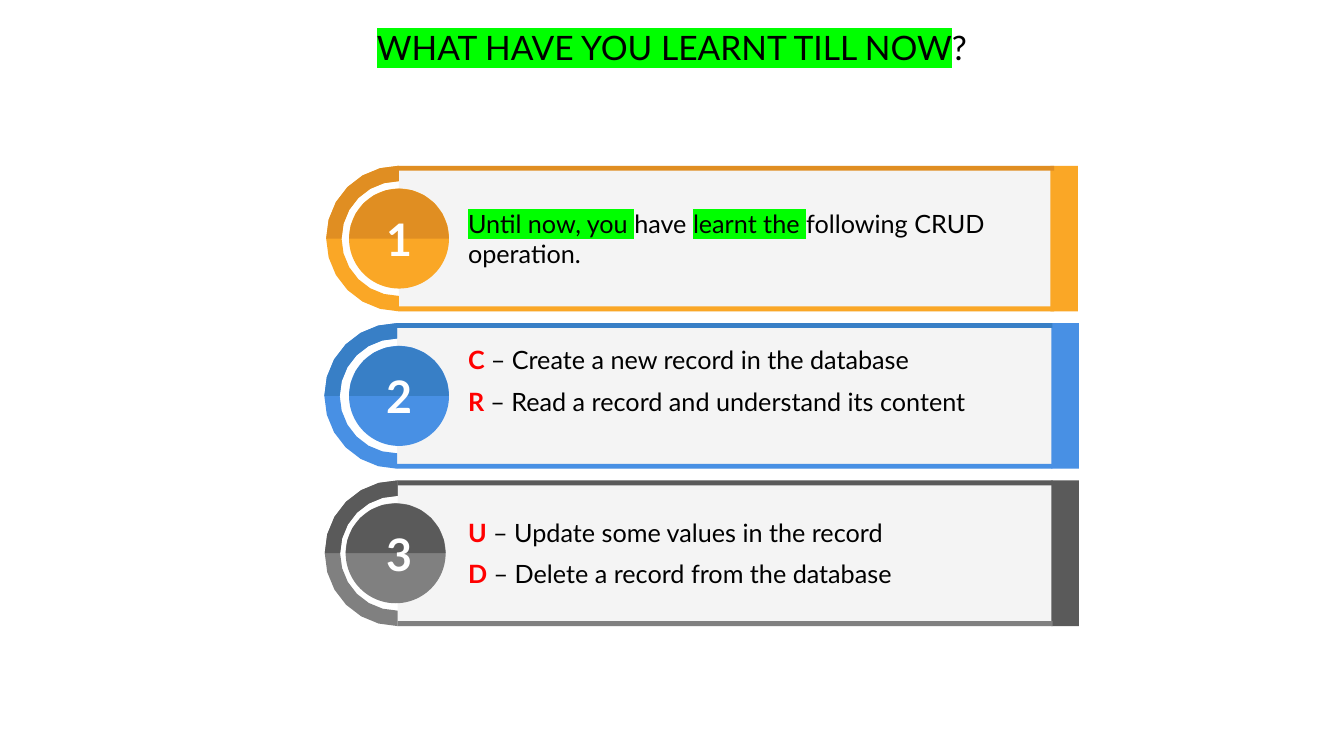
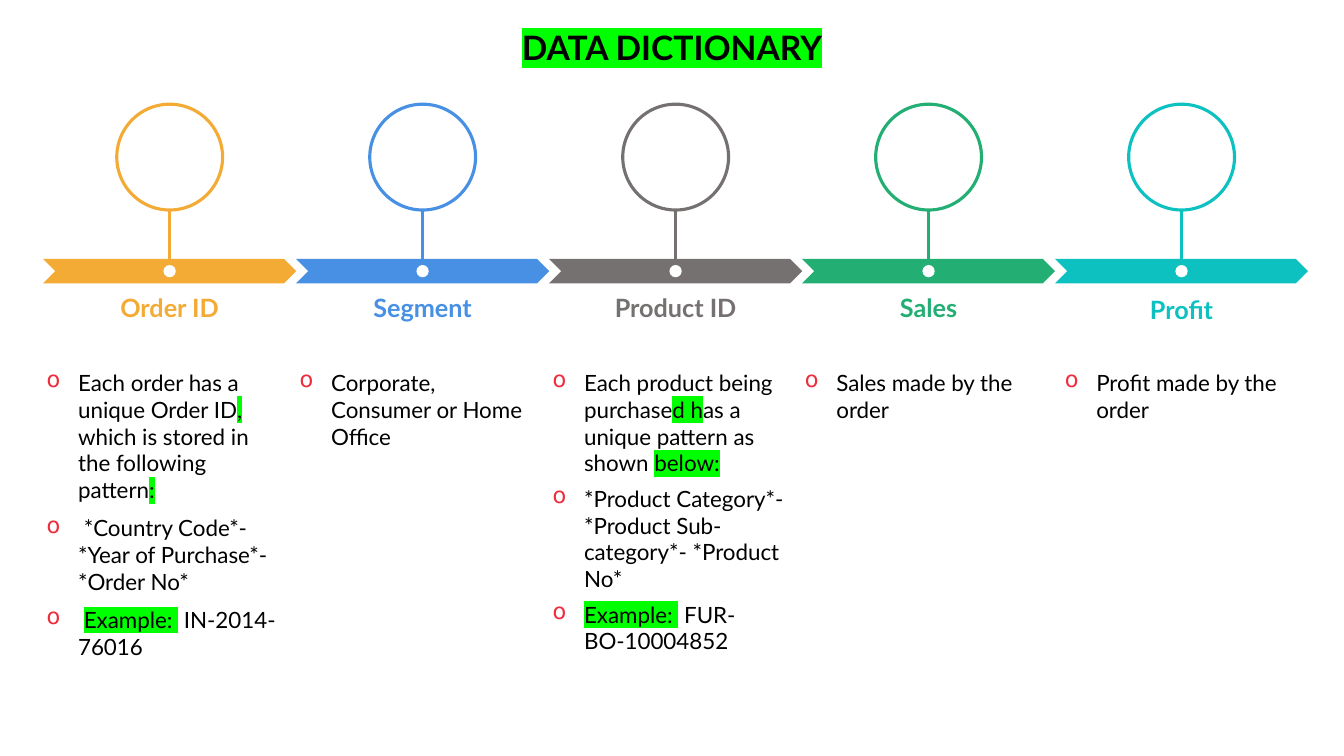
import math

from lxml import etree
from pptx import Presentation
from pptx.dml.color import RGBColor
from pptx.enum import shapes, text
from pptx.oxml import ns
from pptx.util import Pt

FONT = "Lato"
BLACK, WHITE, RED = "000000", "FFFFFF", "FF0000"
PANEL, MARKER, BULLET = "F4F4F4", "00FF00", "EE2C3C"
PLAIN, MARKED, LETTER = "plain", "marked", "letter"
SHAPE = shapes.MSO_SHAPE
TOP, MIDDLE = text.MSO_ANCHOR.TOP, text.MSO_ANCHOR.MIDDLE
LEFT, CENTER = text.PP_ALIGN.LEFT, text.PP_ALIGN.CENTER

# Panel: edge x, disc x, end x, base colour, dark colour, end colour,
# text top, text height, paragraphs
PANELS = [
    (285, 285, 750.3, "FAA726", "E08E22", "FAA726", 144.9, 51.1, [
        [("Until now, you ", MARKED), ("have ", PLAIN), ("learnt the ", MARKED),
         ("following CRUD operation.", PLAIN)]]),
    (283.7, 285, 751, "4890E4", "387FC6", "4890E4", 242.2, 59, [
        [("C ", LETTER), ("– Create a new record in the database", PLAIN)],
        [("R ", LETTER), ("– Read a record and understand its content", PLAIN)]]),
    (284, 282.6, 751, "808080", "5A5A5A", "5A5A5A", 365.6, 59, [
        [("U", LETTER), (" – Update some values in the record", PLAIN)],
        [("D", LETTER), (" – Delete a record from the database", PLAIN)]]),
]

# Field: label, label top, colour, distance from centre to notes, space between notes, notes
FIELDS = [
    ("Order ID", 205.6, "F4AB35", 95, 8, [
        [("Each order has a unique Order ID", PLAIN), (",", MARKED),
         (" which is stored in the following pattern", PLAIN), (":", MARKED)],
        [(" *Country Code*- *Year of Purchase*- *Order No*", PLAIN)],
        [(" ", PLAIN), ("Example: ", MARKED), (" IN-2014-76016", PLAIN)]]),
    ("Segment", 205.6, "4890E4", 95, 0, [
        [("Corporate, Consumer or Home Office", PLAIN)]]),
    ("Product ID", 205.6, "767171", 95, 6, [
        [("Each product being purchase", PLAIN), ("d h", MARKED),
         ("as a unique pattern as shown ", PLAIN), ("below:", MARKED)],
        [("*Product Category*- *Product Sub-category*- *Product No*", PLAIN)],
        [("Example: ", MARKED), (" FUR-BO-10004852", PLAIN)]]),
    ("Sales", 205.6, "23AE73", 95.5, 0, [[("Sales made by the order", PLAIN)]]),
    ("Profit", 206.6, "0EC1C1", 90.5, 0, [[("Profit made by the order", PLAIN)]]),
]


def rgb(value):
    """Turn a hex string into a colour."""
    return RGBColor.from_string(value)


def style_run(r, size, color=BLACK, bold=False, marked=False):
    """Format a run, with a marker highlight if wanted."""
    f = r.font
    f.size, f.bold = Pt(size), bold
    f.color.rgb = rgb(color)
    f.name = FONT
    if marked:
        highlight = etree.Element(ns.qn("a:highlight"))
        etree.SubElement(highlight, ns.qn("a:srgbClr"), val=MARKER)
        r._r.rPr.find(ns.qn("a:solidFill")).addnext(highlight)


def fill_paragraph(p, runs, size, color=BLACK, bold=False):
    """Add styled runs to a paragraph."""
    for words, kind in runs:
        r = p.add_run()
        r.text = words
        letter = kind == LETTER
        style_run(r, size, RED if letter else color, bold or letter, kind == MARKED)


def add_bullet(p):
    """Give a paragraph a coloured bullet and a hanging indent."""
    pPr = p._p.get_or_add_pPr()
    pPr.set("marL", str(Pt(22.5)))
    pPr.set("indent", str(-Pt(22.5)))
    color = etree.SubElement(pPr, ns.qn("a:buClr"))
    etree.SubElement(color, ns.qn("a:srgbClr"), val=BULLET)
    etree.SubElement(pPr, ns.qn("a:buChar"), char="o")


def add_text(s, x, y, w, h, paragraphs, size, color=BLACK, bold=False,
             align=LEFT, anchor=TOP, gap=0, bullets=False, inset=True):
    """Add a text box of one or more paragraphs."""
    tf = s.shapes.add_textbox(Pt(x), Pt(y), Pt(w), Pt(h)).text_frame
    tf.word_wrap, tf.vertical_anchor = True, anchor
    if not inset:
        tf.margin_left = tf.margin_right = tf.margin_top = tf.margin_bottom = 0
    for i, runs in enumerate(paragraphs):
        p = tf.add_paragraph() if i else tf.paragraphs[0]
        p.alignment = align
        if i:
            p.space_before = Pt(gap)
        if bullets:
            add_bullet(p)
        fill_paragraph(p, runs, size, color, bold)


def paint(sp, fill=None, line=None):
    """Set fill and outline, and drop the shadow."""
    sp.shadow.inherit = False
    if fill:
        sp.fill.solid()
        sp.fill.fore_color.rgb = rgb(fill)
    else:
        sp.fill.background()
    if line:
        sp.line.color.rgb = rgb(line)
        sp.line.width = Pt(2.25)
    else:
        sp.line.fill.background()


def add_preset(s, kind, x, y, w, h, fill=None, line=None):
    """Add a painted preset shape."""
    paint(s.shapes.add_shape(kind, Pt(x), Pt(y), Pt(w), Pt(h)), fill, line)


def add_circle(s, cx, cy, radius, fill=None, line=None):
    """Add a circle around a centre."""
    add_preset(s, SHAPE.OVAL, cx - radius, cy - radius, 2 * radius, 2 * radius, fill, line)


def arc(cx, cy, radius, start, end):
    """List points every 15 degrees along an arc, clockwise from the right."""
    step = 15 if end > start else -15
    angles = [math.radians(a) for a in range(start, end + step, step)]
    return [(Pt(cx + radius * math.cos(a)), Pt(cy + radius * math.sin(a))) for a in angles]


def add_outline(s, points, fill):
    """Add a closed freeform through the points."""
    builder = s.shapes.build_freeform(*points[0])
    builder.add_line_segments(points[1:], close=True)
    paint(builder.convert_to_shape(), fill)


def add_ring(s, cx, cy, start, fill):
    """Add a ring segment that ends at the top of the ring."""
    add_outline(s, arc(cx, cy, 52, start, 270) + arc(cx, cy, 41, 270, start), fill)


def add_stem(s, x, top, bottom, color):
    """Add a vertical line."""
    line = s.shapes.add_connector(shapes.MSO_CONNECTOR.STRAIGHT,
                                  Pt(x), Pt(top), Pt(x), Pt(bottom))
    line.line.color.rgb = rgb(color)
    line.line.width = Pt(2.25)
    etree.SubElement(line._element.spPr, ns.qn("a:effectLst"))


def add_titled_slide(prs, runs, width, bold=False, fill=None):
    """Add a slide and set its centred title."""
    s = prs.slides.add_slide(prs.slide_layouts[5])
    title = s.shapes.title
    title.left, title.top = (prs.slide_width - Pt(width)) // 2, Pt(15.9)
    title.width, title.height = Pt(width), Pt(41)
    if fill:
        paint(title, fill)
    tf = title.text_frame
    tf.word_wrap, tf.vertical_anchor = True, TOP
    tf.auto_size = text.MSO_AUTO_SIZE.NONE
    p = tf.paragraphs[0]
    p.alignment = CENTER
    fill_paragraph(p, runs, 24, bold=bold)
    return s


def add_panel(s, number, panel):
    """Add a numbered panel with a half ring, a disc and text."""
    edge, disc, end_x, base, dark, end, text_top, text_height, paragraphs = panel
    cy = 170.4 + 112.4 * (number - 1)
    top, height, strip = cy - 52, 104, 3.5
    add_preset(s, SHAPE.RECTANGLE, edge, top, 468, height, PANEL)
    add_ring(s, edge, cy, 90, base)
    add_ring(s, edge, cy, 180, dark)
    add_preset(s, SHAPE.RECTANGLE, end_x, top, 19.7, height, end)
    add_preset(s, SHAPE.RECTANGLE, edge, top, 468, strip, dark)
    add_preset(s, SHAPE.RECTANGLE, edge, top + height - strip, 468, strip, base)
    add_circle(s, disc, cy, 35.7, base)
    add_outline(s, arc(disc, cy, 35.7, 180, 360), dark)
    add_text(s, 275.6, cy - 19.4, 18.8, 38.8, [[(str(number), PLAIN)]], 32, WHITE, True,
             CENTER, MIDDLE, inset=False)
    add_text(s, 327.2, text_top, 420, text_height, paragraphs, 18, anchor=MIDDLE, gap=8)


def add_field(s, index, field):
    """Add one step of the arrow band with its circle, label and notes."""
    label, label_top, color, notes_left, gap, notes = field
    pitch = 180.7
    cx = 121.2 + pitch * index
    add_text(s, cx - notes_left, 260, pitch, 257, notes, 16, gap=gap, bullets=True)
    add_text(s, cx - 67.3, label_top, 134.6, 29, [[(label, PLAIN)]], 18, color, True, CENTER)
    add_stem(s, cx, 149.8, 185, color)
    add_circle(s, cx, 112.2, 37.8, line=color)
    add_preset(s, SHAPE.CHEVRON, cx - pitch / 2, 185, pitch, 17.4, color)
    add_circle(s, cx, 193.7, 4.4, WHITE)


def main():
    """Build and save the deck."""
    prs = Presentation()
    prs.slide_width, prs.slide_height = Pt(960), Pt(540)
    s = add_titled_slide(prs, [("WHAT HAVE YOU LEARNT TILL NOW", MARKED), ("?", PLAIN)], 492.5)
    for number, panel in enumerate(PANELS, 1):
        add_panel(s, number, panel)
    s = add_titled_slide(prs, [("DATA DICTIONARY", MARKED)], 769.7, bold=True, fill=WHITE)
    for index, field in enumerate(FIELDS):
        add_field(s, index, field)
    prs.save("out.pptx")


main()
